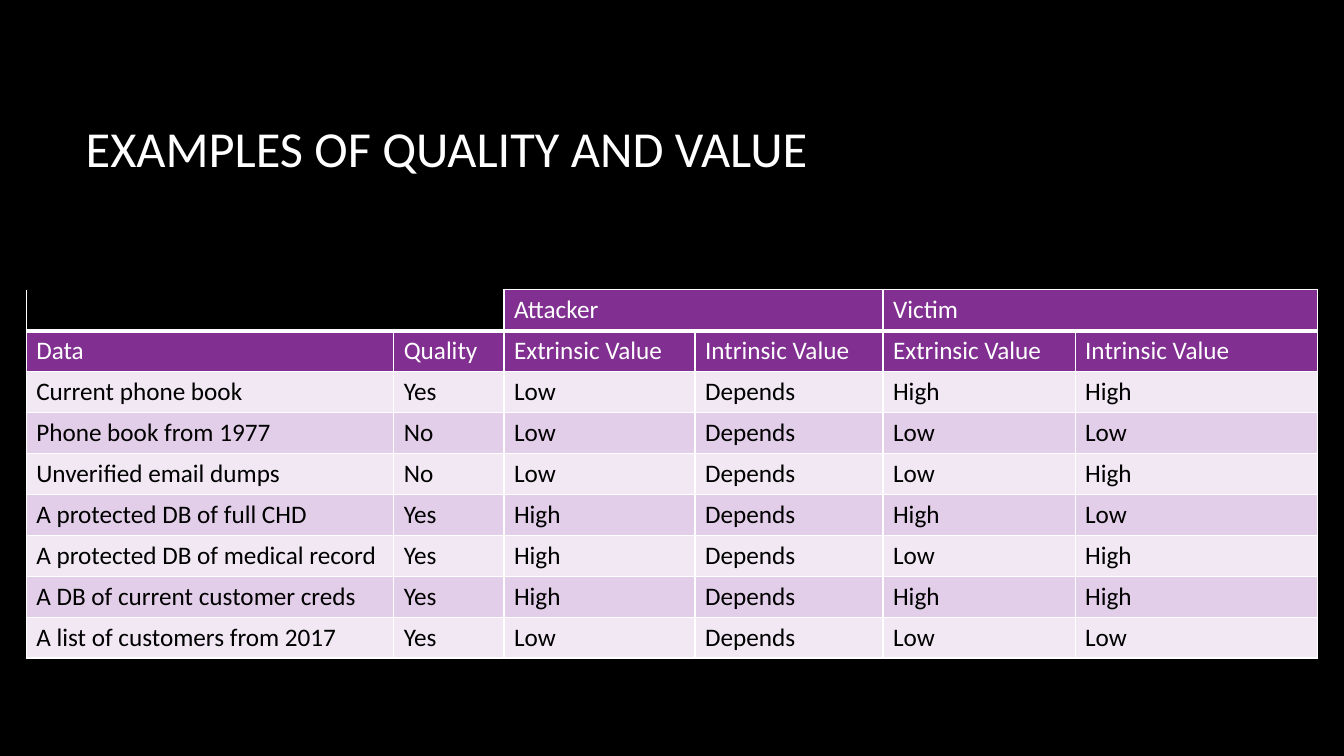
"""Build a slide with a table on data quality and value."""
import dataclasses

import pptx
import pptx.dml.color
import pptx.enum.text
import pptx.oxml
import pptx.oxml.ns
import pptx.util

SCALE = 9525
FONT = "Calibri"
WHITE, BLACK, PURPLE = "FFFFFF", "000000", "812F91"
BANDS = ("F1E8F4", "E3CEE9")
COLS = (350, 105, 182, 179, 183, 231)
ROW = 39
ROWS = (
    ("", "", "Attacker", "", "Victim", ""),
    ("Data", "Quality") + ("Extrinsic Value", "Intrinsic Value") * 2,
    ("Current phone book", "Yes", "Low", "Depends", "High", "High"),
    ("Phone book from 1977", "No", "Low", "Depends", "Low", "Low"),
    ("Unverified email dumps", "No", "Low", "Depends", "Low", "High"),
    ("A protected DB of full CHD", "Yes", "High", "Depends", "High", "Low"),
    ("A protected DB of medical record", "Yes", "High", "Depends", "Low", "High"),
    ("A DB of current customer creds", "Yes", "High", "Depends", "High", "High"),
    ("A list of customers from 2017", "Yes", "Low", "Depends", "Low", "Low"),
)


@dataclasses.dataclass(frozen=True)
class Look:
    """Style of one cell; a fill of None leaves it clear."""

    fill: str | None
    ink: str
    top: int = 1
    base: int = 1


def px(size: int) -> pptx.util.Emu:
    return pptx.util.Emu(size * SCALE)


def rgb(code: str) -> pptx.dml.color.RGBColor:
    return pptx.dml.color.RGBColor.from_string(code)


def set_font(para, size: int, ink: str) -> None:
    para.font.name = FONT
    para.font.size = pptx.util.Pt(size)
    para.font.color.rgb = rgb(ink)


def add_edge(cell, side: str, width: int) -> None:
    paint = f'<a:solidFill><a:srgbClr val="{WHITE}"/></a:solidFill>' if width else "<a:noFill/>"
    space = pptx.oxml.ns.nsdecls("a")
    edge = f'<a:ln{side} {space} w="{pptx.util.Pt(width)}">{paint}</a:ln{side}>'
    cell._tc.get_or_add_tcPr().append(pptx.oxml.parse_xml(edge))


def pick_look(row: int, col: int) -> Look:
    if row == 0:
        return Look(None, WHITE, 0, 3) if col < 2 else Look(PURPLE, WHITE, 1, 3)
    if row == 1:
        return Look(PURPLE, WHITE, 3)
    return Look(BANDS[row % 2], BLACK)


def style_cell(cell, text: str, look: Look) -> None:
    for side, width in (("L", 1), ("R", 1), ("T", look.top), ("B", look.base)):
        add_edge(cell, side, width)
    if look.fill:
        cell.fill.solid()
        cell.fill.fore_color.rgb = rgb(look.fill)
    else:
        cell.fill.background()
    cell.text = text
    set_font(cell.text_frame.paragraphs[0], 18, look.ink)


def add_title(slide) -> None:
    title = slide.shapes.title
    title.left, title.top, title.width, title.height = map(px, (72, 64, 1064, 153))
    frame = title.text_frame
    frame.text = "EXAMPLES OF QUALITY AND VALUE"
    frame.auto_size = pptx.enum.text.MSO_AUTO_SIZE.NONE
    frame.vertical_anchor = pptx.enum.text.MSO_ANCHOR.MIDDLE
    para = frame.paragraphs[0]
    para.alignment = pptx.enum.text.PP_ALIGN.LEFT
    set_font(para, 36, WHITE)


def add_grid(slide) -> None:
    size = map(px, (25, 276, sum(COLS), ROW * len(ROWS)))
    table = slide.shapes.add_table(len(ROWS), len(COLS), *size).table
    table.first_row = table.horz_banding = False
    for column, width in zip(table.columns, COLS):
        column.width = px(width)
    for row, texts in enumerate(ROWS):
        table.rows[row].height = px(ROW)
        for col, text in enumerate(texts):
            style_cell(table.cell(row, col), text, pick_look(row, col))
    for col in range(0, len(COLS), 2):
        table.cell(0, col).merge(table.cell(0, col + 1))


def main() -> None:
    deck = pptx.Presentation()
    deck.slide_width, deck.slide_height = px(1280), px(720)
    slide = deck.slides.add_slide(deck.slide_layouts[5])
    slide.background.fill.solid()
    slide.background.fill.fore_color.rgb = rgb(BLACK)
    add_title(slide)
    add_grid(slide)
    deck.save("out.pptx")


if __name__ == "__main__":
    main()
